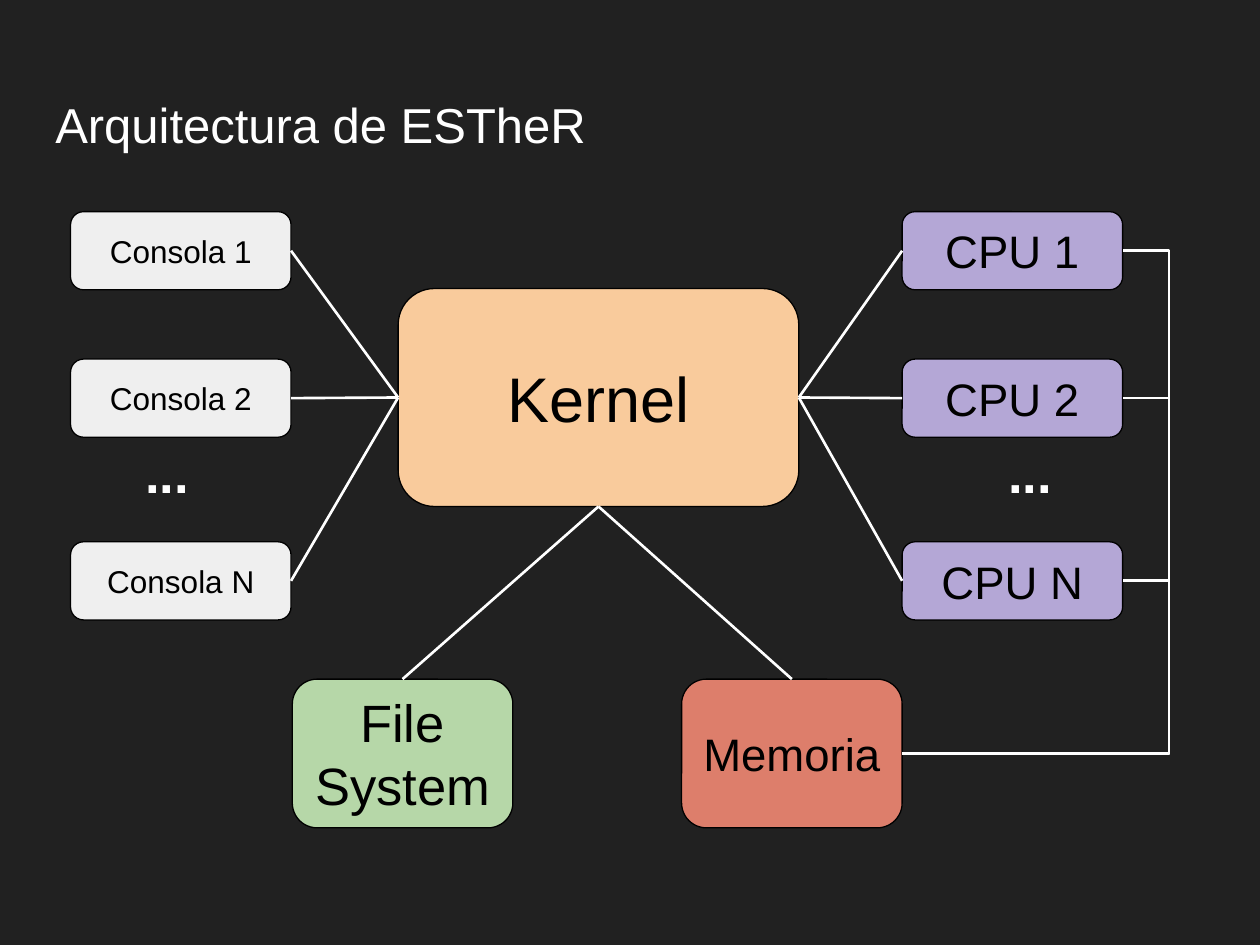
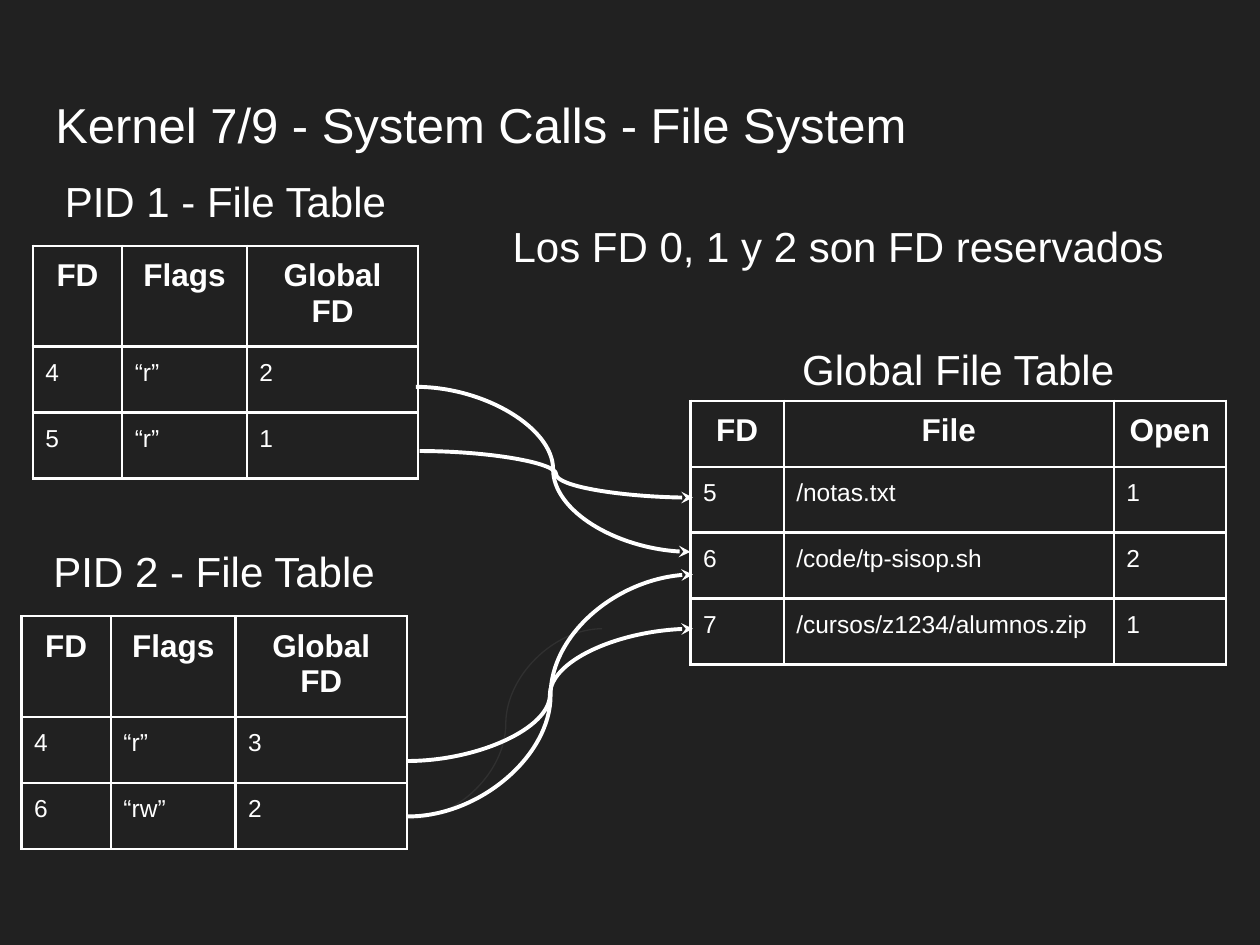
from lxml import etree
from pptx import Presentation
from pptx import util as u
from pptx.dml.color import RGBColor
from pptx.enum import shapes, text
from pptx.oxml import ns

BG = RGBColor(0x21, 0x21, 0x21)
WHITE = RGBColor(0xFF, 0xFF, 0xFF)
BLACK = RGBColor(0x00, 0x00, 0x00)
GREY = RGBColor(0xEF, 0xEF, 0xEF)
ORANGE = RGBColor(0xF9, 0xCB, 0x9C)
RED = RGBColor(0xDD, 0x7E, 0x6B)
PURPLE = RGBColor(0xB4, 0xA7, 0xD6)
GREEN = RGBColor(0xB6, 0xD7, 0xA8)
FAINT = RGBColor(0x30, 0x30, 0x30)
FONT = "Arial"
LEFT, CENTER = text.PP_ALIGN.LEFT, text.PP_ALIGN.CENTER
TOP, MIDDLE = text.MSO_ANCHOR.TOP, text.MSO_ANCHOR.MIDDLE
STRAIGHT, ELBOW, CURVE = (shapes.MSO_CONNECTOR.STRAIGHT, shapes.MSO_CONNECTOR.ELBOW,
                          shapes.MSO_CONNECTOR.CURVE)

prs = Presentation()
prs.slide_width, prs.slide_height = u.Inches(10), u.Inches(7.5)
COL = prs.slide_width / 100
ROW = prs.slide_height / 75
PAD = int(COL)


def write(box, words, size, align=LEFT, anchor=TOP, color=WHITE, bold=False):
    box.margin_left = box.margin_right = box.margin_top = box.margin_bottom = PAD
    box.vertical_anchor = anchor
    tf = getattr(box, "text_frame", box)
    tf.word_wrap = True
    p = tf.paragraphs[0]
    p.alignment = align
    r = p.add_run()
    r.text = words
    r.font.name, r.font.size, r.font.bold = FONT, u.Pt(size), bold
    r.font.color.rgb = color


def link(s, kind, start, end, width=1.5, color=WHITE, arrow=False, bend=None):
    (x1, y1), (x2, y2) = start, end
    c = s.shapes.add_connector(kind, int(x1 * COL), int(y1 * ROW), int(x2 * COL), int(y2 * ROW))
    c.line.color.rgb, c.line.width = color, u.Pt(width)
    sp = c._element.spPr
    if arrow:
        etree.SubElement(c.line._get_or_add_ln(), ns.qn("a:tailEnd"), type="stealth")
    if bend:
        etree.SubElement(sp.find(".//" + ns.qn("a:avLst")), ns.qn("a:gd"),
                         name="adj1", fmla=f"val {round(bend * 100000)}")
    etree.SubElement(sp, ns.qn("a:effectLst"))


architecture = [("Arquitectura de ESTheR", 3.4, 6.5, 93.2, 8.3, 28, LEFT, TOP, False),
                ("...", 4.5, 32.8, 17.5, 9.4, 30, CENTER, MIDDLE, True),
                ("...", 73, 32.8, 17.5, 9.4, 30, CENTER, MIDDLE, True)]
file_tables = [("Kernel 7/9 - System Calls - File System", 3.4, 6.5, 93.2, 8.3, 28, LEFT, TOP, False),
               ("Global File Table", 54.8, 26.3, 42.5, 4.6, 24, CENTER, TOP, False),
               ("PID 2 - File Table", 1.7, 42.3, 30.6, 4.6, 24, CENTER, TOP, False),
               ("PID 1 - File Table", 2.6, 12.9, 30.6, 4.6, 24, CENTER, TOP, False),
               ("Los FD 0, 1 y 2 son FD reservados", 39.7, 16.5, 57.6, 6.1, 24, LEFT, TOP, False)]
for labels in (architecture, file_tables):
    s = prs.slides.add_slide(prs.slide_layouts[6])
    s.background.fill.solid()
    s.background.fill.fore_color.rgb = BG
    for words, x, y, w, h, size, align, anchor, bold in labels:
        sp = s.shapes.add_textbox(int(x * COL), int(y * ROW), int(w * COL), int(h * ROW))
        write(sp.text_frame, words, size, align, anchor, bold=bold)

s = prs.slides[0]
NODE_W, NODE_H, STORE_H = 17.5, 6.2, 11.8
CONSOLE_X, CPU_X, STORE_Y = 5.6, 71.6, 53.9
FS_X, MEM_X = 23.2, 54.1
KERNEL = (31.6, 22.9, 31.8, 17.3)
levels = [("1", 16.8), ("2", 28.5), ("N", 43)]

nodes = [("Kernel", *KERNEL, ORANGE, 36),
         ("File System", FS_X, STORE_Y, NODE_W, STORE_H, GREEN, 30),
         ("Memoria", MEM_X, STORE_Y, NODE_W, STORE_H, RED, 26)]
for n, y in levels:
    nodes.append((f"Consola {n}", CONSOLE_X, y, NODE_W, NODE_H, GREY, 18))
    nodes.append((f"CPU {n}", CPU_X, y, NODE_W, NODE_H, PURPLE, 26))
for words, x, y, w, h, fill, size in nodes:
    sp = s.shapes.add_shape(shapes.MSO_SHAPE.ROUNDED_RECTANGLE,
                            int(x * COL), int(y * ROW), int(w * COL), int(h * ROW))
    sp.shadow.inherit = False
    sp.fill.solid()
    sp.fill.fore_color.rgb = fill
    sp.line.color.rgb, sp.line.width = BLACK, u.Pt(0.75)
    write(sp.text_frame, words, size, CENTER, MIDDLE, BLACK)

kx, ky, kw, kh = KERNEL
for n, y in levels:
    mid = y + NODE_H / 2
    link(s, STRAIGHT, (CONSOLE_X + NODE_W, mid), (kx, ky + kh / 2))
    link(s, STRAIGHT, (kx + kw, ky + kh / 2), (CPU_X, mid))
    link(s, ELBOW, (MEM_X + NODE_W, STORE_Y + STORE_H / 2), (CPU_X + NODE_W, mid), bend=1.21)
for x in (FS_X, MEM_X):
    link(s, STRAIGHT, (kx + kw / 2, ky + kh), (x + NODE_W / 2, STORE_Y))

s = prs.slides[1]
PID_COLS, PID_HEAD = (7.1, 9.9, 13.6), ("FD", "Flags", "Global FD")
tables = [(54.8, 31.8, (7.4, 26.2, 8.9), 5.24,
           [("FD", "File", "Open"), ("5", "/notas.txt", "1"), ("6", "/code/tp-sisop.sh", "2"),
            ("7", "/cursos/z1234/alumnos.zip", "1")]),
          (1.7, 48.9, PID_COLS, 7, [PID_HEAD, ("4", "“r”", "3"), ("6", "“rw”", "2")]),
          (2.6, 19.5, PID_COLS, 7, [PID_HEAD, ("4", "“r”", "2"), ("5", "“r”", "1")])]
for x, y, cols, head_h, rows in tables:
    heights = [head_h] + [5.24] * (len(rows) - 1)
    tbl = s.shapes.add_table(len(rows), len(cols), int(x * COL), int(y * ROW),
                             int(sum(cols) * COL), int(sum(heights) * ROW)).table
    tbl.first_row = tbl.horz_banding = False
    for j, w in enumerate(cols):
        tbl.columns[j].width = int(w * COL)
    for i, row in enumerate(rows):
        tbl.rows[i].height = int(heights[i] * ROW)
        for j, words in enumerate(row):
            cell = tbl.cell(i, j)
            write(cell, words, 14 if i else 18, LEFT if i else CENTER, bold=i == 0)
            cell.fill.background()
            tcPr = cell._tc.get_or_add_tcPr()
            for k, side in enumerate(("lnL", "lnR", "lnT", "lnB")):
                ln = etree.Element(ns.qn(f"a:{side}"), w=str(u.Pt(1.5)))
                fill = etree.SubElement(ln, ns.qn("a:solidFill"))
                etree.SubElement(fill, ns.qn("a:srgbClr"), val=str(WHITE))
                tcPr.insert(k, ln)

link(s, CURVE, (32.5, 65), (47.8, 49.9), 0.75, FAINT)
for start, end in [((33, 30.7), (54.8, 43.8)), ((33.3, 35.8), (55, 39.5)),
                   ((32.3, 60.4), (55, 49.9)), ((32.4, 64.8), (55, 45.6))]:
    link(s, CURVE, start, end, 2.25, arrow=True)

prs.save("out.pptx")
